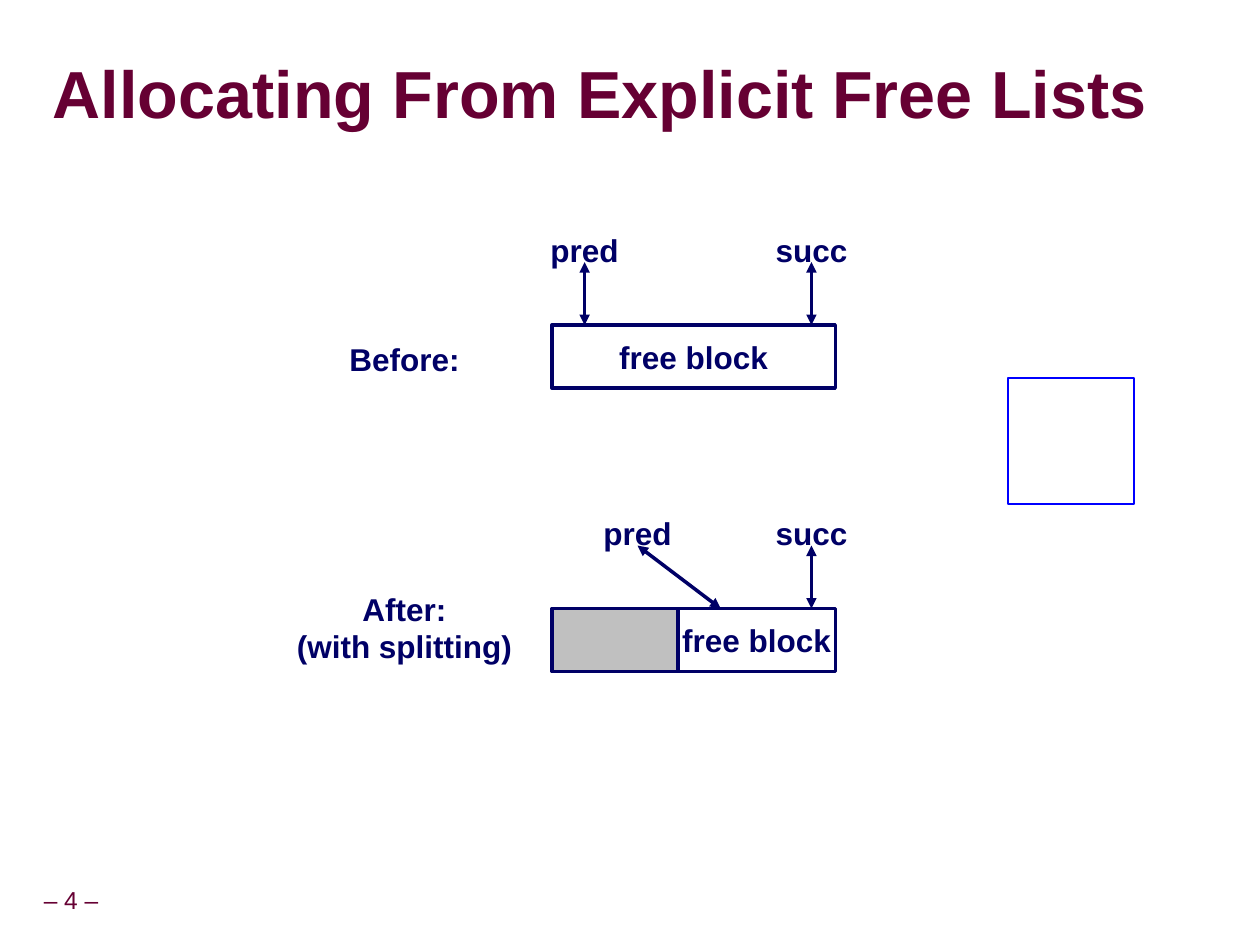
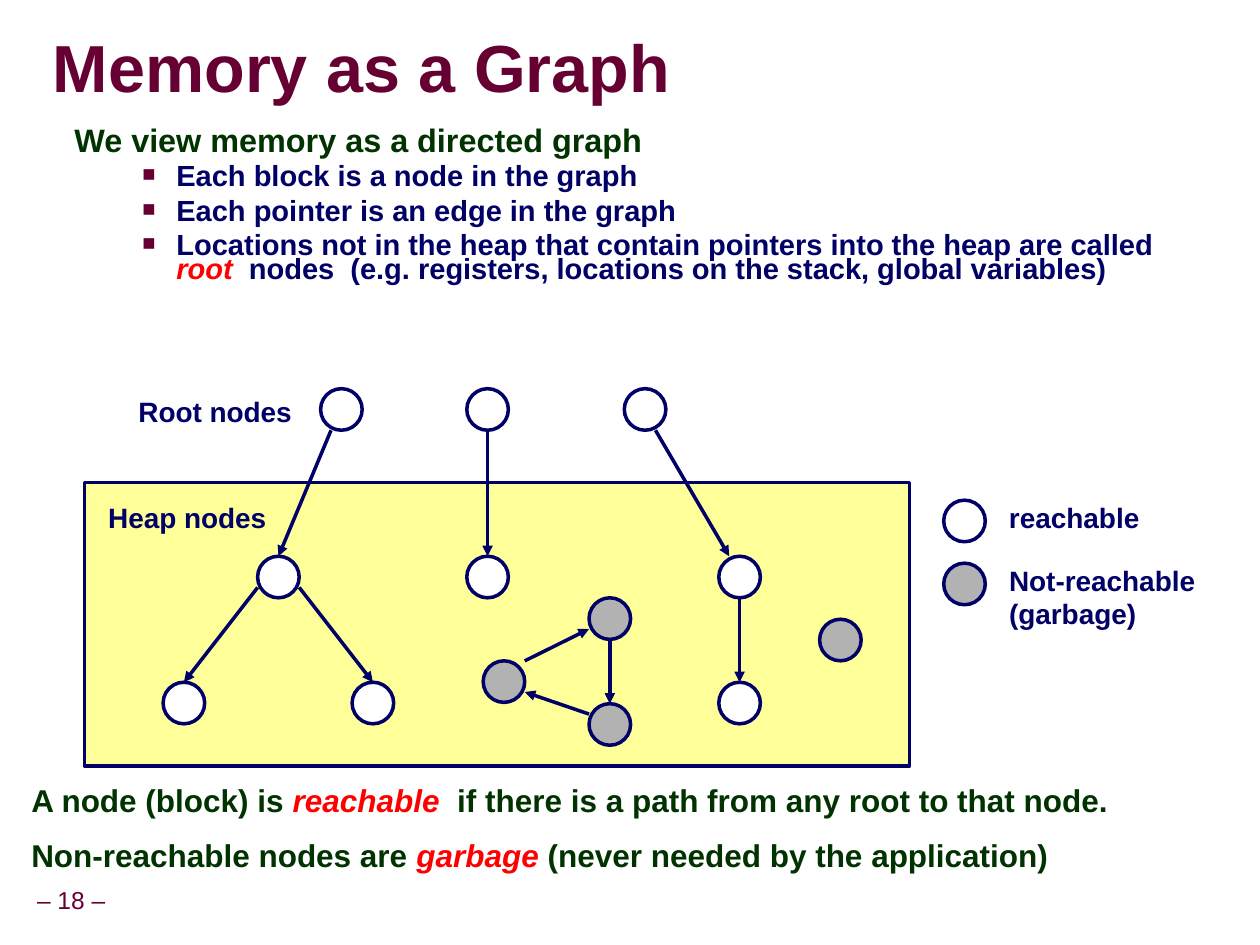
import pptx
import pptx.util
import pptx.dml.color
import pptx.enum.dml
import pptx.enum.shapes
import pptx.enum.text
import pptx.oxml
import pptx.oxml.ns
from lxml import etree

Inches, Pt = pptx.util.Inches, pptx.util.Pt
SHAPE = pptx.enum.shapes.MSO_SHAPE
ALIGN = pptx.enum.text.PP_ALIGN
ANCHOR = pptx.enum.text.MSO_ANCHOR
FIT = pptx.enum.text.MSO_AUTO_SIZE
qn = pptx.oxml.ns.qn

COLORS = {
    "maroon": "660033", "navy": "000066", "green": "003300", "red": "FF0000",
    "white": "FFFFFF", "heap": "FFFF99", "garbage": "B2B2B2",
    "allocated": "C0C0C0", "ink": "0000FF", "shadow": "969696",
}
FONT = "Arial"
LINE = 2
NODE = 0.33


def rgb(name):
    return pptx.dml.color.RGBColor.from_string(COLORS[name])


# ---- Text ----
def add_run(paragraph, text, size, color, bold=True, italic=False):
    run = paragraph.add_run()
    run.text = text
    run.font.size, run.font.bold, run.font.italic = Pt(size), bold, italic
    run.font.color.rgb = rgb(color)
    run.font.name = FONT
    return run


def set_frame(frame, anchor, wrap, inset_x=0.1, inset_y=0.05):
    frame.auto_size = FIT.NONE
    frame.word_wrap, frame.vertical_anchor = wrap, anchor
    frame.margin_left = frame.margin_right = Inches(inset_x)
    frame.margin_top = frame.margin_bottom = Inches(inset_y)


def next_paragraph(frame, number):
    return frame.add_paragraph() if number else frame.paragraphs[0]


def format_paragraph(paragraph, spacing, before, margin, indent):
    paragraph.alignment = ALIGN.LEFT
    paragraph.line_spacing, paragraph.space_before = spacing, Pt(before)
    props = paragraph._p.get_or_add_pPr()
    props.set("marL", str(Inches(margin)))
    props.set("indent", str(Inches(indent)))
    return props


def add_label(slide, box, lines, size, align=ALIGN.LEFT, anchor=ANCHOR.TOP):
    frame = slide.shapes.add_textbox(*map(Inches, box)).text_frame
    set_frame(frame, anchor, False)
    for number, line in enumerate(lines):
        paragraph = next_paragraph(frame, number)
        paragraph.alignment = align
        add_run(paragraph, line, size, "navy")


def add_centred_label(slide, x, top, width, height, lines):
    add_label(slide, (x - width / 2, top, width, height), lines, 18,
              ALIGN.CENTER, ANCHOR.MIDDLE)


# ---- Shapes ----
def add_block(slide, kind, box, fill, text=None):
    block = slide.shapes.add_shape(kind, *map(Inches, box))
    block.shadow.inherit = False
    block.fill.solid()
    block.fill.fore_color.rgb = rgb(fill)
    block.line.color.rgb, block.line.width = rgb("navy"), Pt(LINE)
    if text:
        set_frame(block.text_frame, ANCHOR.MIDDLE, False)
        block.text_frame.paragraphs[0].alignment = ALIGN.CENTER
        add_run(block.text_frame.paragraphs[0], text, 18, "navy")


def add_arrow(slide, start, end, both=False):
    arrow = slide.shapes.add_connector(
        pptx.enum.shapes.MSO_CONNECTOR.STRAIGHT, *map(Inches, start + end))
    arrow.line.color.rgb, arrow.line.width = rgb("navy"), Pt(LINE)
    line = arrow.line._get_or_add_ln()
    for tag in ("a:headEnd", "a:tailEnd") if both else ("a:tailEnd",):
        etree.SubElement(line, qn(tag), type="triangle")
    etree.SubElement(arrow._element.spPr, qn("a:effectLst"))


# ---- Shared slide parts ----
def start_slide(deck, layout, title, title_box, number):
    slide = deck.slides.add_slide(deck.slide_layouts[layout])
    heading = slide.shapes.title
    heading.left, heading.top, heading.width, heading.height = map(Inches, title_box)
    set_frame(heading.text_frame, ANCHOR.MIDDLE, True, 0, 0)
    paragraph = heading.text_frame.paragraphs[0]
    paragraph.alignment, paragraph.line_spacing = ALIGN.LEFT, 0.87
    run = add_run(paragraph, title, 38, "maroon")
    fill = run._r.get_or_add_rPr().find(qn("a:solidFill"))
    fill.addnext(pptx.oxml.parse_xml(
        f'<a:effectLst xmlns:a="{pptx.oxml.ns.nsuri("a")}">'
        '<a:outerShdw dist="53882" dir="2700000">'
        f'<a:srgbClr val="{COLORS["shadow"]}"/></a:outerShdw></a:effectLst>'))

    footer = slide.shapes.add_textbox(Inches(0), Inches(7), Inches(1.13), Inches(0.31))
    set_frame(footer.text_frame, ANCHOR.MIDDLE, False, 0.05)
    paragraph = footer.text_frame.paragraphs[0]
    paragraph.alignment, paragraph.line_spacing = ALIGN.CENTER, 0.9
    add_run(paragraph, f"– {number} –", 14, "maroon", bold=False)
    return slide


# ---- Free list slide ----
def draw_free_block(slide, left, top, allocated, pred_x, pred_end, caption, caption_top):
    """One state of the block; x positions are measured from its left edge."""
    width, height, gap = 2.25, 0.5, 0.5
    add_block(slide, SHAPE.RECTANGLE,
              (left + allocated, top, width - allocated, height), "white", "free block")
    if allocated:
        add_block(slide, SHAPE.RECTANGLE, (left, top, allocated, height), "allocated")
    for name, x, end, label_width in (("pred", pred_x, pred_end, 0.74),
                                      ("succ", 2.06, 2.06, 0.77)):
        add_arrow(slide, (left + x, top - gap), (left + end, top), both=True)
        add_centred_label(slide, left + x, top - 0.8, label_width, 0.4, [name])
    add_centred_label(slide, left - 1.17, top + caption_top, 1.91,
                      0.1 + 0.3 * len(caption), caption)


def draw_ink_circle(slide, start, curves, steps=8):
    """Hand-drawn loop, traced from cubic curves."""
    points, origin = [], start
    for c1, c2, end in curves:
        for step in range(1, steps + 1):
            t = step / steps
            points.append(tuple(
                (1 - t) ** 3 * a + 3 * (1 - t) ** 2 * t * b
                + 3 * (1 - t) * t ** 2 * c + t ** 3 * d
                for a, b, c, d in zip(origin, c1, c2, end)))
        origin = end
    builder = slide.shapes.build_freeform(*start, scale=float(Inches(1)))
    builder.add_line_segments(points, close=False)
    loop = builder.convert_to_shape()
    loop.shadow.inherit = False
    loop.fill.background()
    loop.line.color.rgb, loop.line.width = rgb("ink"), Pt(1.5)


# ---- Memory graph slide ----
def fill_overview(body, box):
    body.left, body.top, body.width, body.height = map(Inches, box)
    frame = body.text_frame
    set_frame(frame, ANCHOR.TOP, True)
    heading = frame.paragraphs[0]
    props = format_paragraph(heading, 0.65, 12.5, 0.42, -0.42)
    etree.SubElement(props, qn("a:buNone"))
    add_run(heading, "We view memory as a directed graph", 18.5, "green")
    points = [
        [("Each block is a node in the graph", "navy")],
        [("Each pointer is an edge in the graph", "navy")],
        [("Locations not in the heap that contain pointers into the heap are called ", "navy"),
         ("root", "red"),
         ("  nodes  (e.g. registers, locations on the stack, global variables)", "navy")],
    ]
    for runs in points:
        paragraph = frame.add_paragraph()
        paragraph.level = 1
        props = format_paragraph(paragraph, 0.7, 5.6, 0.81, -0.27)
        bullet_color = etree.SubElement(props, qn("a:buClr"))
        etree.SubElement(bullet_color, qn("a:srgbClr"), val=COLORS["maroon"])
        etree.SubElement(props, qn("a:buSzPct"), val="75000")
        etree.SubElement(props, qn("a:buFont"), typeface=FONT)
        etree.SubElement(props, qn("a:buChar"), char="■")
        for text, color in runs:
            add_run(paragraph, text, 16.6, color, italic=color == "red")


def add_node(slide, x, y, fill):
    add_block(slide, SHAPE.OVAL, (x - NODE / 2, y - NODE / 2, NODE, NODE), fill)


def draw_memory_graph(slide, left, top, width, height):
    add_block(slide, SHAPE.RECTANGLE, (left, top, width, height), "heap")
    # Node centres, measured from the heap's corner
    reachable = {
        "root a": (2.04, -0.58), "root b": (3.2, -0.58), "root c": (4.45, -0.58),
        "a": (1.54, 0.75), "b": (3.2, 0.75), "c": (5.2, 0.75),
        "a left": (0.79, 1.75), "a right": (2.29, 1.75), "c below": (5.2, 1.75),
    }
    garbage = {"upper": (4.17, 1.08), "lower": (4.17, 1.92),
               "side": (3.33, 1.58), "alone": (6, 1.25)}
    centres = {name: (left + x, top + y)
               for name, (x, y) in (reachable | garbage).items()}
    for name, centre in centres.items():
        add_node(slide, *centre, "garbage" if name in garbage else "white")
    # Each end touches its node at an offset counted in radii
    edges = [
        ("root a", (-0.5, 1), "a", (0, -1)), ("root b", (0, 1), "b", (0, -1)),
        ("root c", (0.5, 1), "c", (-0.5, -1)),
        ("a", (-1, 0.5), "a left", (0, -1)), ("a", (1, 0.5), "a right", (0, -1)),
        ("c", (0, 1), "c below", (0, -1)), ("upper", (0, 1), "lower", (0, -1)),
        ("lower", (-1, -0.5), "side", (1, 0.5)), ("side", (1, -1), "upper", (-1, 0.5)),
    ]

    def contact(name, offset):
        return tuple(c + o * NODE / 2 for c, o in zip(centres[name], offset))

    for source, leaving, target, arriving in edges:
        add_arrow(slide, contact(source, leaving), contact(target, arriving))
    add_label(slide, (left + 0.33, top - 0.75, 1.42, 0.37), ["Root nodes"], 16)
    add_label(slide, (left + 0.09, top + 0.09, 1.45, 0.37), ["Heap nodes"], 16)


def draw_legend(slide, left, top):
    entries = [("white", "reachable", 1.23, 0.37),
               ("garbage", "Not-reachable\v(garbage)", 1.68, 0.64)]
    for row, (fill, text, width, height) in enumerate(entries):
        y = top + 0.5 * row
        add_node(slide, left + NODE / 2, y + 0.05 + NODE / 2, fill)
        add_label(slide, (left + 0.42, y, width, height), text.split("\v"), 16)


def write_conclusions(slide, box):
    frame = slide.shapes.add_textbox(*map(Inches, box)).text_frame
    set_frame(frame, ANCHOR.TOP, True)
    conclusions = [
        ("A node (block) is ", "reachable",
         "  if there is a path from any root to that node."),
        ("Non-reachable nodes are ", "garbage ", "(never needed by the application)"),
    ]
    for number, (opening, term, ending) in enumerate(conclusions):
        paragraph = next_paragraph(frame, number)
        format_paragraph(paragraph, 0.95, 11.2, 0.42, -0.42)
        add_run(paragraph, opening, 18, "green")
        add_run(paragraph, term, 18, "red", italic=True)
        add_run(paragraph, ending, 18, "green")


deck = pptx.Presentation()
deck.slide_width, deck.slide_height = Inches(10), Inches(7.5)

# Allocating from free lists
free_lists = start_slide(deck, 5, "Allocating From Explicit Free Lists",
                         (0.42, 0.46, 8.75, 0.63), 4)
draw_free_block(free_lists, 4.38, 2.58, 0, 0.26, 0.26, ["Before:"], 0.07)
draw_free_block(free_lists, 4.38, 4.83, 1, 0.68, 1.34,
                ["After:", "(with splitting)"], -0.2)
draw_ink_circle(free_lists, (8.96, 3.17), [
    ((8.89, 3.13), (8.83, 3.1), (8.75, 3.09)),
    ((8.62, 3.08), (8.52, 3.14), (8.43, 3.23)),
    ((8.34, 3.33), (8.3, 3.45), (8.32, 3.59)),
    ((8.34, 3.7), (8.4, 3.8), (8.5, 3.86)),
    ((8.63, 3.94), (8.81, 3.92), (8.95, 3.88)),
    ((9.08, 3.84), (9.19, 3.74), (9.23, 3.6)),
    ((9.27, 3.48), (9.24, 3.32), (9.16, 3.22)),
    ((9.06, 3.07), (8.92, 3.1), (8.77, 3.12)),
])

# Memory as a graph
memory = start_slide(deck, 1, "Memory as a Graph", (0.42, 0.25, 6.93, 0.63), 18)
fill_overview(memory.placeholders[1], (0.49, 1, 9.26, 1.33))
draw_memory_graph(memory, 0.67, 3.83, 6.55, 2.25)
draw_legend(memory, 7.49, 3.92)
write_conclusions(memory, (0.15, 6.17, 9.43, 0.92))

deck.save("out.pptx")
